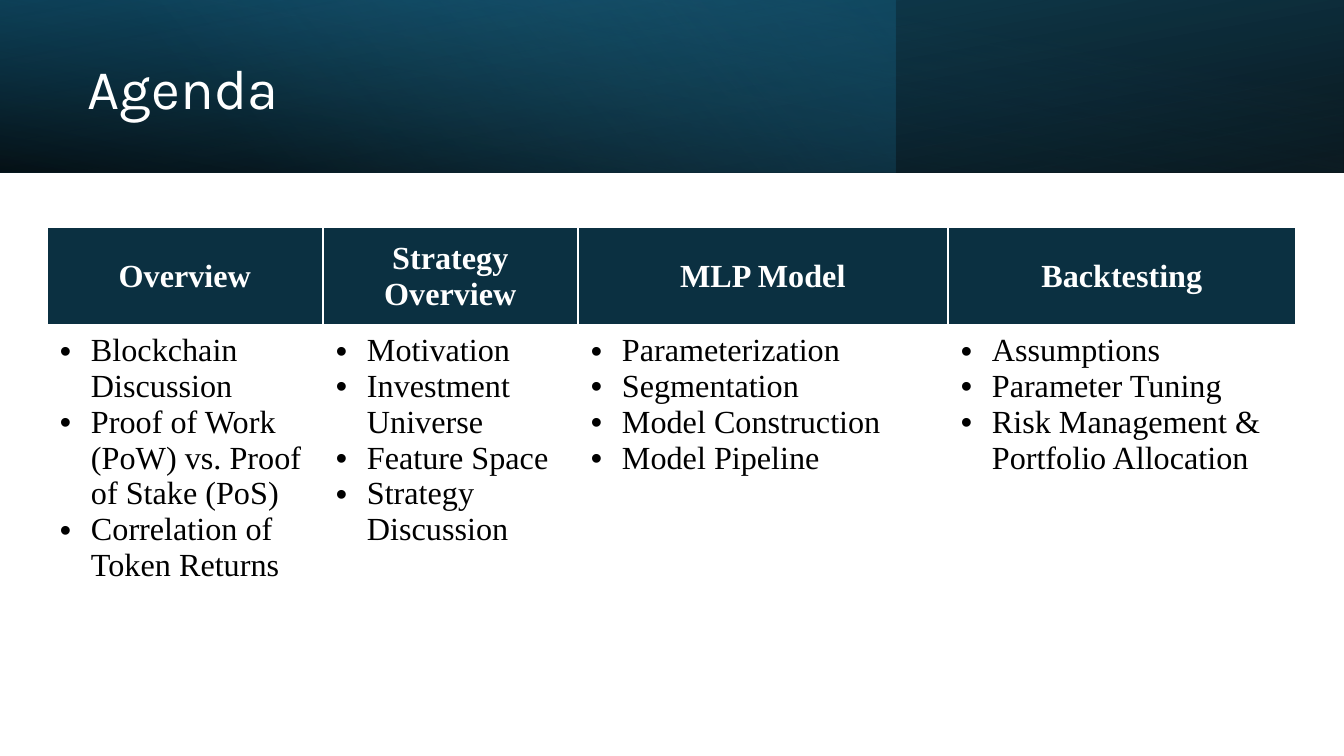
"""Build the agenda slide."""
from dataclasses import dataclass

from lxml import etree
from pptx import Presentation
from pptx.dml.color import RGBColor
from pptx.enum.shapes import MSO_SHAPE
from pptx.enum.text import MSO_ANCHOR, PP_ALIGN
from pptx.oxml.ns import qn
from pptx.util import Emu, Pt

RECTANGLE = MSO_SHAPE.RECTANGLE
MIDDLE, TOP = MSO_ANCHOR.MIDDLE, MSO_ANCHOR.TOP
LEFT, CENTER = PP_ALIGN.LEFT, PP_ALIGN.CENTER
SLIDE_WIDTH, SLIDE_HEIGHT = 1344, 756
BAND_HEIGHT = 173


@dataclass(frozen=True)
class Theme:
    """Colours, fonts and type sizes of the slide."""

    black: str = "000000"
    white: str = "FFFFFF"
    header: str = "0B3041"
    deep_teal: str = "104862"
    teal: str = "156082"
    sky: str = "46B1E1"
    title_font: str = "Karla"
    table_font: str = "Times New Roman"
    title_size: int = 40
    table_size: int = 23


THEME = Theme()
AGENDA = {
    "Overview": [
        "Blockchain Discussion",
        "Proof of Work (PoW) vs. Proof of Stake (PoS)",
        "Correlation of Token Returns",
    ],
    "Strategy Overview": [
        "Motivation",
        "Investment Universe",
        "Feature Space",
        "Strategy Discussion",
    ],
    "MLP Model": [
        "Parameterization",
        "Segmentation",
        "Model Construction",
        "Model Pipeline",
    ],
    "Backtesting": [
        "Assumptions",
        "Parameter Tuning",
        "Risk Management & Portfolio Allocation",
    ],
}
COLUMN_WIDTHS = [276, 255, 370, 348]
ROW_HEIGHTS = [99, 371]


def px(length):
    """Turn pixels into EMU."""
    return Emu(round(length * 914400 / 100.8))


def write_text(frame, lines, *, font, size, color, bold=False, align=LEFT,
               line_spacing=None, bullet_indent=0):
    """Fill a text frame with one formatted paragraph per line."""
    frame.word_wrap = True
    for index, line in enumerate(lines):
        paragraph = frame.add_paragraph() if index else frame.paragraphs[0]
        paragraph.alignment = align
        if line_spacing:
            paragraph.line_spacing = line_spacing
        if bullet_indent:
            properties = paragraph._p.get_or_add_pPr()
            properties.set("marL", str(px(bullet_indent)))
            properties.set("indent", str(-px(bullet_indent)))
            bullet_font = etree.SubElement(properties, qn("a:buFont"))
            bullet_font.set("typeface", "Arial")
            etree.SubElement(properties, qn("a:buChar")).set("char", "•")
        run = paragraph.add_run()
        run.text = line
        run.font.name = font
        run.font.size = Pt(size)
        run.font.bold = bold
        run.font.color.rgb = RGBColor.from_string(color)


def add_gradient(slide, box, stops, angle, rotation=0, flipped=False):
    """Add a rectangle with a clockwise gradient of (position, colour, opacity) stops."""
    shape = slide.shapes.add_shape(RECTANGLE, *map(px, box))
    shape.shadow.inherit = False
    shape.line.fill.background()
    shape.rotation = rotation
    if flipped:
        shape._element.spPr.find(qn("a:xfrm")).set("flipH", "1")
    shape.fill.gradient()
    shape.fill.gradient_angle = 360 - angle
    for stop, (position, color, _) in zip(shape.fill.gradient_stops, stops):
        stop.position = position / 100
        stop.color.rgb = RGBColor.from_string(color)
    colors = shape._element.spPr.iter(qn("a:srgbClr"))
    for color_element, (_, _, opacity) in zip(colors, stops):
        etree.SubElement(color_element, qn("a:alpha")).set("val", str(opacity * 1000))


def add_title_band(slide, left, top, width, height):
    """Layer the gradients of the top band and set the title on it."""
    band = (left, top, width, height)
    accent = (left, top, width * 2 // 3, height)
    add_gradient(slide, band, [(0, THEME.black, 96), (100, THEME.deep_teal, 100)],
                 100, rotation=180, flipped=True)
    add_gradient(slide, accent, [(0, THEME.teal, 41), (74, THEME.sky, 0)], 140)
    add_gradient(slide, band, [(0, THEME.black, 63), (78, THEME.teal, 15)],
                 260, flipped=True)
    title = slide.shapes.add_textbox(px(left + 78), px(top + 27), px(778), px(128))
    title.text_frame.vertical_anchor = MIDDLE
    write_text(title.text_frame, ["Agenda"], font=THEME.title_font,
               size=THEME.title_size, color=THEME.white, line_spacing=0.9)


def style_cell(cell, fill, anchor, bottom_width):
    """Set the fill, margins, anchor and white borders of a cell."""
    cell.fill.solid()
    cell.fill.fore_color.rgb = RGBColor.from_string(fill)
    cell.vertical_anchor = anchor
    cell.margin_left = cell.margin_right = px(13)
    cell.margin_top = cell.margin_bottom = px(7)
    properties = cell._tc.get_or_add_tcPr()
    widths = {"a:lnL": 1, "a:lnR": 1, "a:lnT": 1, "a:lnB": bottom_width}
    for index, (side, width) in enumerate(widths.items()):
        border = etree.Element(qn(side), w=str(Pt(width)))
        solid = etree.SubElement(border, qn("a:solidFill"))
        etree.SubElement(solid, qn("a:srgbClr")).set("val", THEME.white)
        properties.insert(index, border)


def add_agenda_table(slide, left, top):
    """Add the agenda table with a header and a bullet list per column."""
    box = (left, top, sum(COLUMN_WIDTHS), sum(ROW_HEIGHTS))
    table = slide.shapes.add_table(
        len(ROW_HEIGHTS), len(AGENDA), *map(px, box)).table
    table.horz_banding = False
    for row, height in zip(table.rows, ROW_HEIGHTS):
        row.height = px(height)
    for index, (heading, topics) in enumerate(AGENDA.items()):
        table.columns[index].width = px(COLUMN_WIDTHS[index])
        header, body = table.cell(0, index), table.cell(1, index)
        style_cell(header, THEME.header, MIDDLE, bottom_width=3)
        style_cell(body, THEME.white, TOP, bottom_width=1)
        write_text(header.text_frame, [heading], font=THEME.table_font,
                   size=THEME.table_size, color=THEME.white, bold=True, align=CENTER)
        write_text(body.text_frame, topics, font=THEME.table_font,
                   size=THEME.table_size, color=THEME.black, bullet_indent=31)


def main():
    """Build and save the presentation."""
    presentation = Presentation()
    presentation.slide_width = px(SLIDE_WIDTH)
    presentation.slide_height = px(SLIDE_HEIGHT)
    slide = presentation.slides.add_slide(presentation.slide_layouts[6])
    add_title_band(slide, 0, 0, SLIDE_WIDTH, BAND_HEIGHT)
    add_agenda_table(slide, 47, 227)
    presentation.save("out.pptx")


if __name__ == "__main__":
    main()
